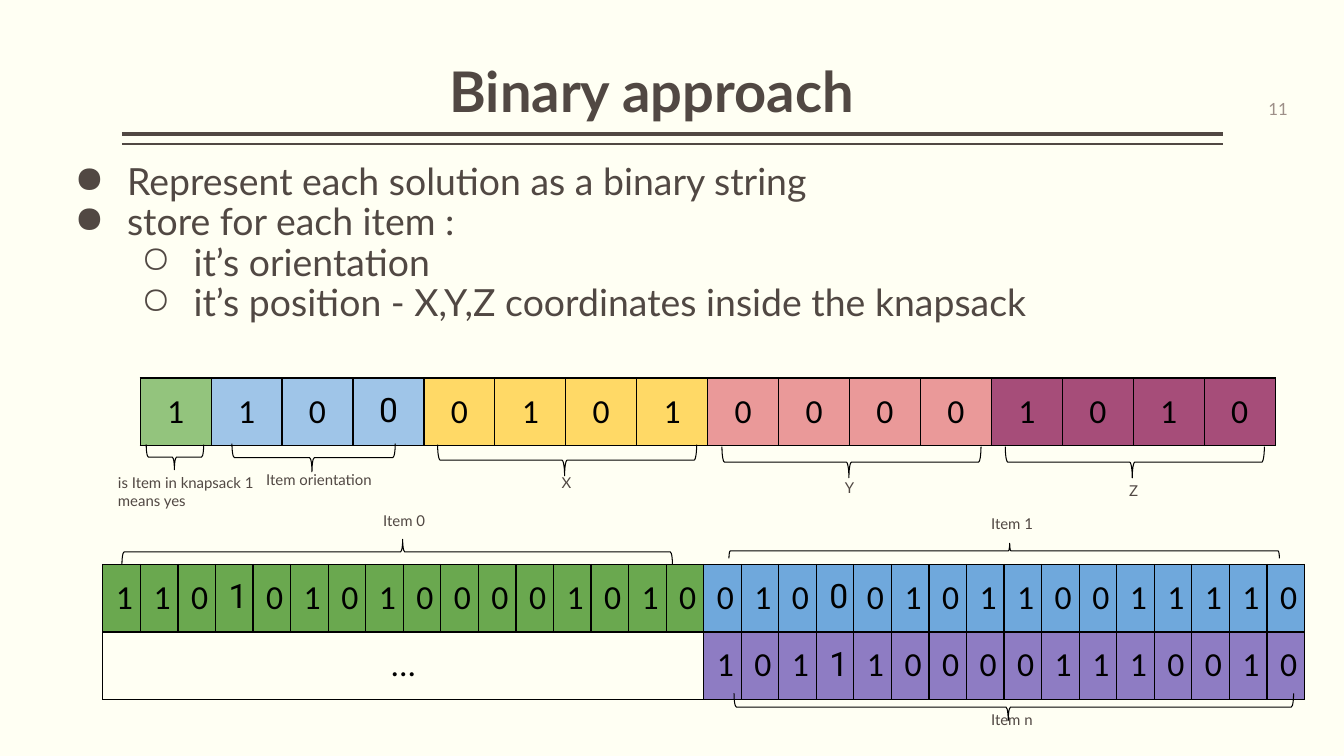
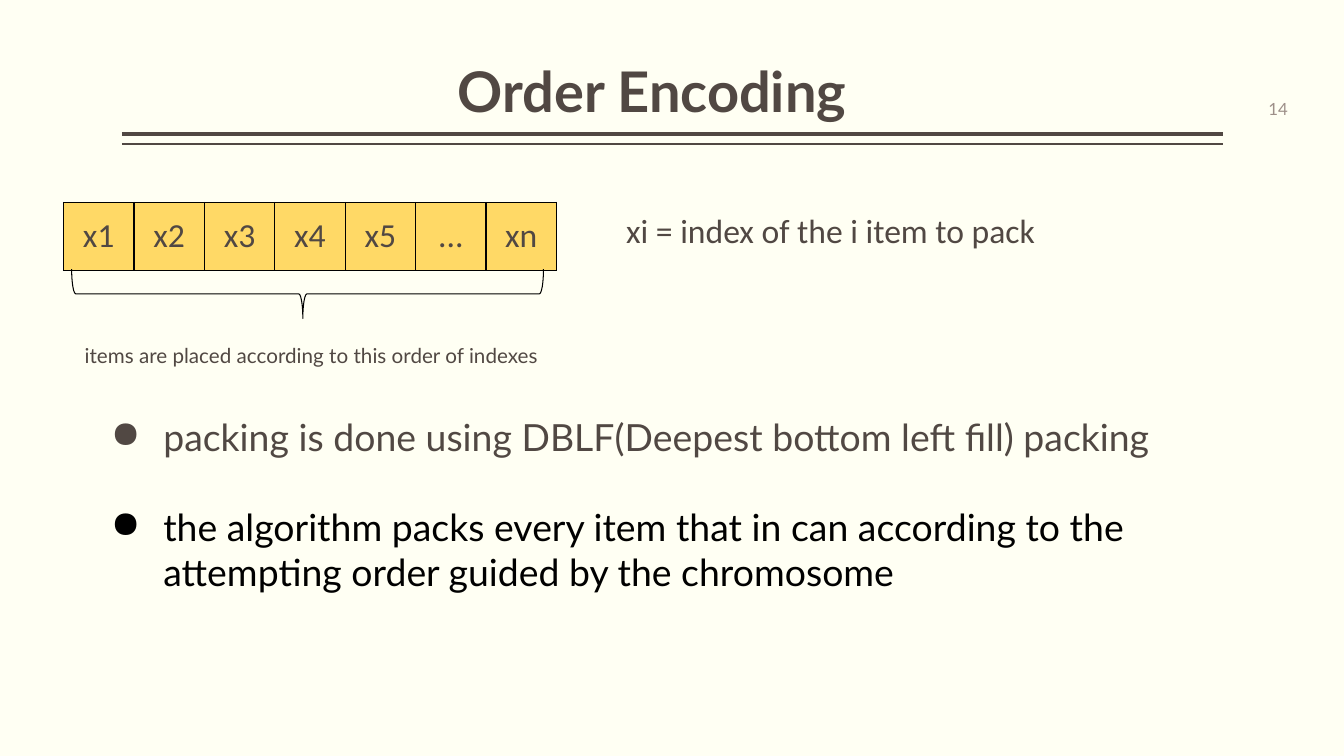
from lxml import etree
from pptx import Presentation
from pptx.dml.color import RGBColor
from pptx.enum.shapes import MSO_CONNECTOR, MSO_SHAPE
from pptx.enum.text import PP_ALIGN
from pptx.oxml import parse_xml
from pptx.oxml.ns import nsdecls, qn
from pptx.util import Inches, Pt

CREAM = RGBColor(0xFF, 0xFF, 0xF3)
BROWN = RGBColor(0x51, 0x48, 0x43)
TAUPE = RGBColor(0x9D, 0x8F, 0x88)
BLACK = RGBColor(0x00, 0x00, 0x00)
LIGHT_GREEN = RGBColor(0x93, 0xC4, 0x7D)
LIGHT_BLUE = RGBColor(0x9F, 0xC5, 0xE8)
YELLOW = RGBColor(0xFF, 0xD9, 0x66)
PINK = RGBColor(0xEA, 0x99, 0x99)
PLUM = RGBColor(0xA6, 0x4D, 0x79)
GREEN = RGBColor(0x6A, 0xA8, 0x4F)
BLUE = RGBColor(0x6F, 0xA8, 0xDC)
PURPLE = RGBColor(0x8E, 0x7C, 0xC3)

INSET = Inches(0.13)
ROW_HEIGHT = 0.67
GENE_LENGTH = 16


def add_text(s, box, lines, size, color=BROWN, font="Lato", bold=False):
    tf = s.shapes.add_textbox(*map(Inches, box)).text_frame
    tf.word_wrap = True
    tf.margin_left = tf.margin_right = tf.margin_top = tf.margin_bottom = INSET
    tf.text = "\n".join(lines)
    for p in tf.paragraphs:
        f = p.runs[0].font
        f.name, f.size, f.bold = font, Pt(size), bold
        f.color.rgb = color
    return tf


def add_cells(s, left, top, width, rows, fills, color, align):
    """Add a bordered table; a fill of None leaves the cell clear."""
    columns = len(rows[0])
    table = s.shapes.add_table(len(rows), columns, Inches(left), Inches(top),
                               Inches(width), Inches(ROW_HEIGHT * len(rows))).table
    table.first_row = table.horz_banding = False
    for column in table.columns:
        column.width = Inches(width / columns)
    for r, row in enumerate(rows):
        for c, text in enumerate(row):
            cell = table.cell(r, c)
            cell.margin_left = cell.margin_right = INSET
            cell.margin_top = cell.margin_bottom = INSET
            for edge in ("lnL", "lnR", "lnT", "lnB"):
                cell._tc.get_or_add_tcPr().append(parse_xml(
                    f'<a:{edge} {nsdecls("a")} w="12700"><a:solidFill>'
                    f'<a:srgbClr val="{BLACK}"/></a:solidFill></a:{edge}>'))
            if fills[r][c] is None:
                cell.fill.background()
            else:
                cell.fill.solid()
                cell.fill.fore_color.rgb = fills[r][c]
            if text:
                cell.text = text
                p = cell.text_frame.paragraphs[0]
                p.alignment = align
                f = p.runs[0].font
                f.name = "Roboto" if columns >= GENE_LENGTH and c % GENE_LENGTH == 3 else "Calibri"
                f.size = Pt(24)
                f.color.rgb = color
    return table


prs = Presentation()
prs.slide_width, prs.slide_height = Inches(13.33), Inches(7.5)

# Background, title, double rule and page number
slides = []
for title, title_left, number in (("Binary approach", 4.33, "11"),
                                  ("Order Encoding", 4.41, "14")):
    s = prs.slides.add_slide(prs.slide_layouts[6])
    s.background.fill.solid()
    s.background.fill.fore_color.rgb = CREAM
    for y, weight in ((1.33, 3), (1.43, 1)):
        rule = s.shapes.add_connector(MSO_CONNECTOR.STRAIGHT, Inches(1.21), Inches(y),
                                      Inches(12.13), Inches(y))
        rule.line.color.rgb = BROWN
        rule.line.width = Pt(weight)
        etree.SubElement(rule._element.spPr, qn("a:effectLst"))
    tf = add_text(s, (title_left, 0.51, 7.5, 0.84), [title], 40, bold=True)
    tf.paragraphs[0].line_spacing = 0.9
    tf = add_text(s, (12.58, 0.88, 0.72, 0.46), [number], 12, TAUPE)
    tf.margin_left = tf.margin_right = 0
    slides.append(s)
binary, order = slides

# Bulleted text
binary_body = add_text(binary, (0.46, 1.49, 12.42, 2.35), [
    "Represent each solution as a binary string",
    "store for each item :",
    "it’s orientation",
    "it’s position - X,Y,Z coordinates inside the knapsack"], 26.7)
order_body = add_text(order, (0.82, 3.98, 11.54, 2.85), [
    "packing is done using DBLF(Deepest bottom left fill) packing",
    "the algorithm packs every item that in can according to the "
    "attempting order guided by the chromosome"], 26.7)
for tf, levels, spacing in ((binary_body, (0, 0, 1, 1), 0.9), (order_body, (0, 0), 1.0)):
    for p, level in zip(tf.paragraphs, levels):
        p.level = level
        p.line_spacing = spacing
        pPr = p._p.get_or_add_pPr()
        pPr.set("marL", str(Inches((0.67, 1.33)[level])))
        pPr.set("indent", str(Inches(-0.52)))
        etree.SubElement(pPr, qn("a:buChar"), char="●○"[level])
order_body.paragraphs[1].space_before = Pt(32)
order_body.paragraphs[1].runs[0].font.color.rgb = BLACK

# Gene and chromosome tables
gene_fills = [LIGHT_GREEN] + [LIGHT_BLUE] * 3 + [YELLOW] * 4 + [PINK] * 4 + [PLUM] * 4
add_cells(binary, 1.39, 3.75, 11.26, ["1100010100001010"], [gene_fills],
          BLACK, PP_ALIGN.CENTER)

chromosome = add_cells(
    binary, 1.02, 5.6, 11.92,
    ["1101010100001010" + "0100010110011110",
     ["..."] + [""] * (GENE_LENGTH - 1) + list("1011100001110010")],
    [[GREEN] * GENE_LENGTH + [BLUE] * GENE_LENGTH,
     [None] * GENE_LENGTH + [PURPLE] * GENE_LENGTH],
    BLACK, PP_ALIGN.LEFT)
gap = chromosome.cell(1, 0)
gap.merge(chromosome.cell(1, GENE_LENGTH - 1))
gap.text_frame.paragraphs[0].alignment = PP_ALIGN.CENTER

add_cells(order, 0.63, 2.01, 4.89, [["x1", "x2", "x3", "x4", "x5", "...", "xn"]],
          [[YELLOW] * 7], BROWN, PP_ALIGN.CENTER)

# Braces: visible left, top, width and height, then the turn
for s, left, top, width, height, turn in (
        (binary, 1.45, 4.41, 0.57, 0.25, 90),
        (binary, 2.3, 4.4, 1.62, 0.28, 90),
        (binary, 4.34, 4.41, 2.57, 0.31, 90),
        (binary, 7.16, 4.43, 2.57, 0.31, 90),
        (binary, 9.97, 4.43, 2.57, 0.31, 90),
        (binary, 1.21, 5.35, 5.46, 0.25, 270),
        (binary, 7.28, 6.88, 5.55, 0.27, 90),
        (binary, 7.23, 5.39, 5.46, 0.15, 270),
        (order, 0.71, 2.67, 4.68, 0.49, 90)):
    shift = (width - height) / 2
    sp = s.shapes.add_shape(MSO_SHAPE.RIGHT_BRACE, Inches(left + shift), Inches(top - shift),
                            Inches(height), Inches(width))
    sp.rotation = turn
    sp.adjustments[0], sp.adjustments[1] = 0.083, 0.51
    sp.fill.background()
    sp.line.color.rgb = BLACK
    sp.line.width = Pt(0.75)
    sp.shadow.inherit = False

# Labels
for label, left, top, width, height in (
        ("is Item in knapsack 1 means yes", 1.04, 4.57, 1.61, 0.62),
        ("Item orientation", 2.51, 4.58, 1.48, 0.44),
        ("X", 5.44, 4.61, 0.37, 0.44),
        ("Y", 8.25, 4.66, 0.37, 0.44),
        ("Z", 11.07, 4.69, 0.37, 0.44),
        ("Item 0", 3.67, 4.99, 0.73, 0.44),
        ("Item 1", 9.7, 5.02, 1.06, 0.44),
        ("Item n", 9.7, 6.96, 1.06, 0.44)):
    add_text(binary, (left, top, width, height), [label], 10.7)

tf = add_text(order, (0.71, 3.25, 5.96, 0.49),
              ["items are placed according to this order of indexes"], 14.7)
tf.paragraphs[0].alignment = PP_ALIGN.JUSTIFY
tf.paragraphs[0].line_spacing = 1.1
add_text(order, (6.08, 1.95, 4.42, 1.03), ["xi = index of the i item to pack"], 24,
         font="Calibri")

prs.save("out.pptx")
